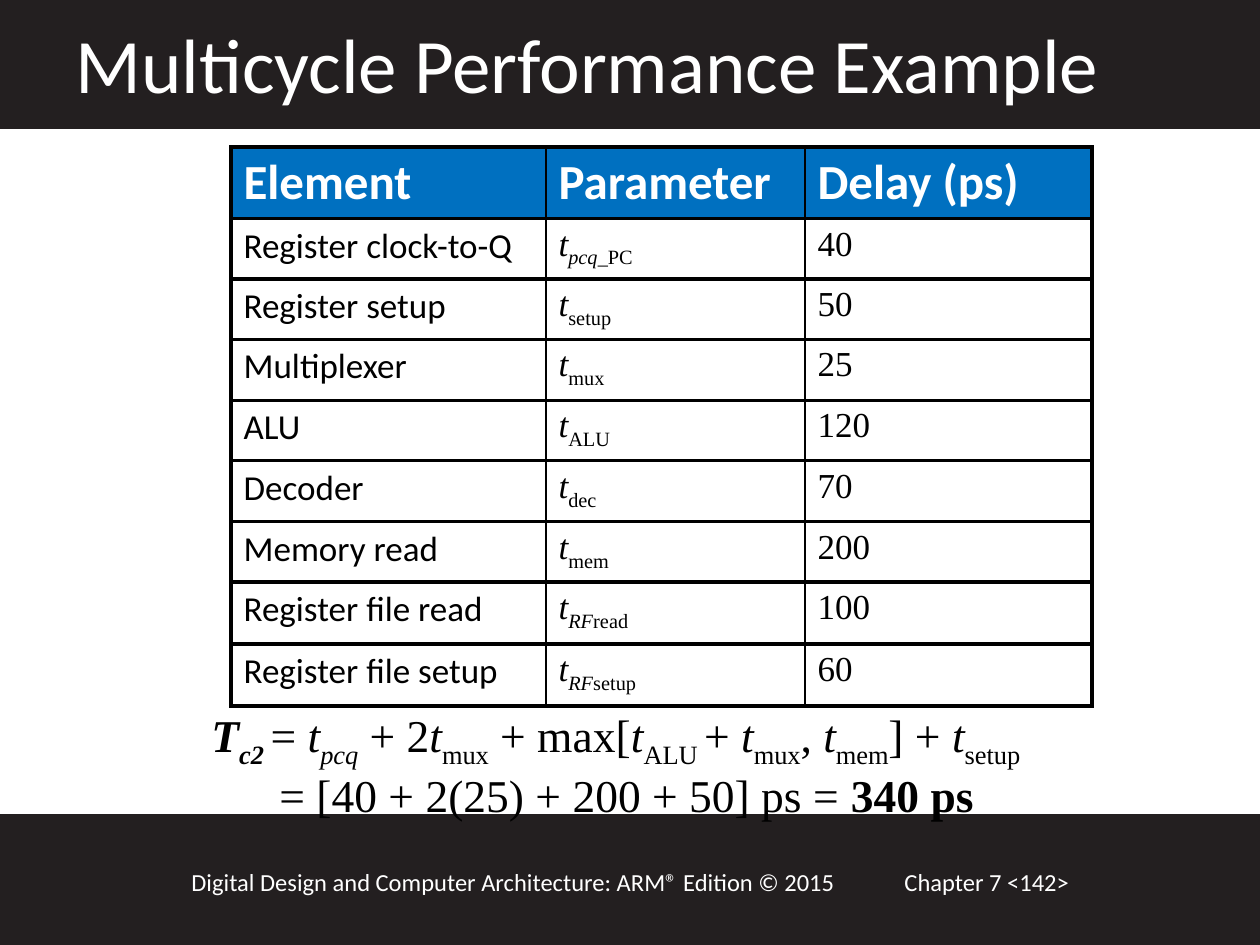
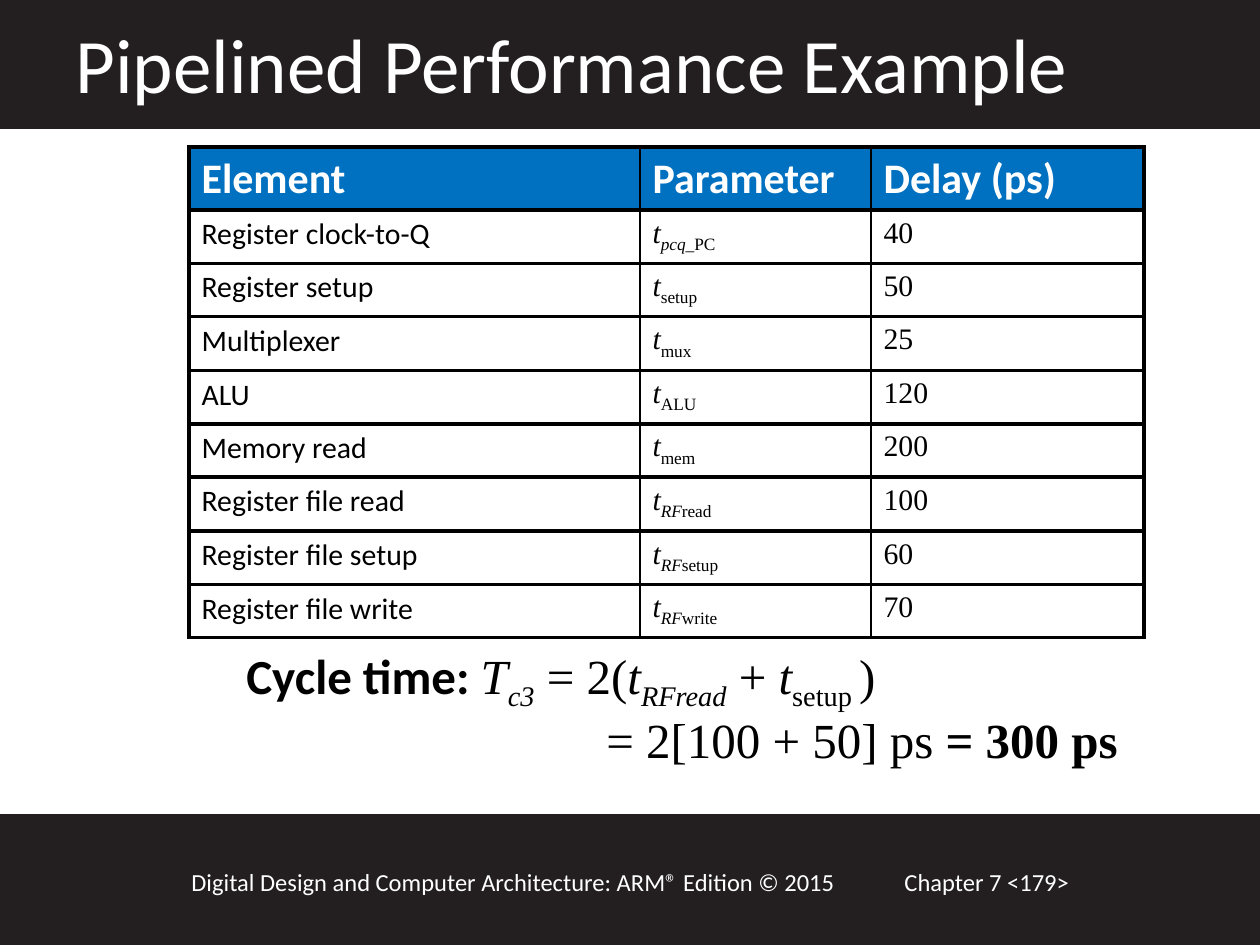
from dataclasses import dataclass
from typing import NamedTuple

from lxml import etree
from pptx import Presentation
from pptx.dml.color import RGBColor
from pptx.enum.shapes import MSO_SHAPE
from pptx.oxml.ns import qn
from pptx.util import Emu, Pt

RECT = MSO_SHAPE.RECTANGLE
SCALE = 914400 / 126
WIDTH, HEIGHT = 1260, 945
SANS, SERIF = "Calibri", "Times New Roman"
HUES = {"band": "231F20", "head": "0070C0", "ink": "000000", "paper": "FFFFFF"}
THICK, THIN = 2.25, 1
BOOK = "Digital Design and Computer Architecture: ARM® Edition © 2015"
HEADS = ("Element", "Parameter", "Delay (ps)")


class Box(NamedTuple):
    left: int
    top: int
    width: int
    height: int


class Bit(NamedTuple):
    text: str
    marks: str = ""
    font: str = SERIF


class Delay(NamedTuple):
    name: str
    symbol: tuple[Bit, ...]
    value: int


class Line(NamedTuple):
    bits: tuple[Bit, ...]
    inset: int = 0


@dataclass
class Grid:
    left: int
    top: int
    cols: tuple[int, ...]
    rows: tuple[int, ...]
    head: int
    body: int
    items: tuple[Delay, ...]


@dataclass
class Page:
    title: str
    number: int
    grid: Grid
    box: Box
    size: int
    lines: tuple[Line, ...]


BANDS = (Box(0, 816, WIDTH, 127), Box(0, 0, WIDTH, 127))
TITLE = Box(63, 10, 1092, 106)
CHAPTER = Box(892, 861, 273, 43)
FOOTER = Box(179, 861, 725, 43)


def term(sub: str, lead: str = "") -> tuple[Bit, ...]:
    start = (Bit("t", "i"),)
    if lead:
        start += (Bit(lead, "is"),)
    return start + ((Bit(sub, "s"),) if sub else ())


CLOCK = Delay("Register clock-to-Q", term("_PC", "pcq"), 40)
SETUP = Delay("Register setup", term("setup"), 50)
MUX = Delay("Multiplexer", term("mux"), 25)
ALU = Delay("ALU", term("ALU"), 120)
DECODE = Delay("Decoder", term("dec"), 70)
MEMORY = Delay("Memory read", term("mem"), 200)
READ = Delay("Register file read", term("read", "RF"), 100)
STORE = Delay("Register file setup", term("setup", "RF"), 60)
WRITE = Delay("Register file write", term("write", "RF"), 70)

PAGES = (
    Page(
        "Multicycle Performance Example", 142,
        Grid(231, 147, (315, 259, 287), (71, 60, 60, 61, 60, 61, 60, 62, 62), 28, 20,
             (CLOCK, SETUP, MUX, ALU, DECODE, MEMORY, READ, STORE)),
        Box(199, 702, 955, 138), 26,
        (
            Line((Bit("T", "bi"), Bit("c2 ", "bis"), Bit("= "), *term("", "pcq"),
                  Bit(" + 2"), *term("mux"), Bit(" + max["), *term("ALU "),
                  Bit("+ "), *term("mux"), Bit(", "), *term("mem"),
                  Bit("] + "), *term("setup"))),
            Line((Bit("= [40 + 2(25) + 200 + 50] ps = "), Bit("340 ps", "b")), 68),
        ),
    ),
    Page(
        "Pipelined Performance Example", 179,
        Grid(189, 147, (451, 231, 273), (63, 53, 53, 54, 53, 53, 54, 53, 53), 24, 17,
             (CLOCK, SETUP, MUX, ALU, MEMORY, READ, STORE, WRITE)),
        Box(234, 640, 921, 137), 28,
        (
            Line((Bit("Cycle time: ", "b", SANS), Bit("T", "i"), Bit("c3", "is"),
                  Bit(" = 2("), *term("", "RFread"), Bit(" + "), *term("setup "),
                  Bit(")"))),
            Line((Bit("= 2[100 + 50] ps "), Bit("= 300 ps", "b")), 360),
        ),
    ),
)


def px(length: int) -> Emu:
    return Emu(round(length * SCALE))


def place(box: Box) -> list[Emu]:
    return [px(side) for side in box]


def tint(name: str) -> RGBColor:
    return RGBColor.from_string(HUES[name])


def write(para, bits: tuple[Bit, ...], size: int, hue: str) -> None:
    for bit in bits:
        run = para.add_run()
        run.text = bit.text
        run.font.name = bit.font
        run.font.size = Pt(size)
        run.font.bold = "b" in bit.marks
        run.font.italic = "i" in bit.marks
        run.font.color.rgb = tint(hue)
        if "s" in bit.marks:
            run.font._element.set("baseline", "-25000")


def band(slide, box: Box) -> None:
    shape = slide.shapes.add_shape(RECT, *place(box))
    shape.shadow.inherit = False
    shape.fill.solid()
    shape.fill.fore_color.rgb = tint("band")
    shape.line.color.rgb = tint("band")
    shape.line.width = Pt(2)


def frame(slide, box: Box):
    text = slide.shapes.add_textbox(*place(box)).text_frame
    text.word_wrap = True
    return text


def label(slide, box: Box, text: str, size: int) -> None:
    write(frame(slide, box).paragraphs[0], (Bit(text, "", SANS),), size, "paper")


def edge(cell, side: str, width: float) -> None:
    line = etree.SubElement(cell._tc.get_or_add_tcPr(), qn(f"a:ln{side}"), w=str(Pt(width)))
    fill = etree.SubElement(line, qn("a:solidFill"))
    etree.SubElement(fill, qn("a:srgbClr"), val=HUES["ink"])


def table(slide, grid: Grid) -> None:
    box = Box(grid.left, grid.top, sum(grid.cols), sum(grid.rows))
    chart = slide.shapes.add_table(len(grid.rows), len(grid.cols), *place(box)).table
    for col, width in zip(chart.columns, grid.cols):
        col.width = px(width)
    for row, height in zip(chart.rows, grid.rows):
        row.height = px(height)
    cells = [[(Bit(head, "b", SANS),) for head in HEADS]]
    for item in grid.items:
        cells.append([(Bit(item.name, "", SANS),), item.symbol, (Bit(str(item.value)),)])
    last = len(grid.cols) - 1
    for r, row in enumerate(cells):
        size, hue, back = (grid.body, "ink", "paper") if r else (grid.head, "paper", "head")
        for c, bits in enumerate(row):
            cell = chart.cell(r, c)
            edge(cell, "L", THIN if c else THICK)
            edge(cell, "R", THICK if c == last else THIN)
            edge(cell, "T", THICK)
            edge(cell, "B", THICK)
            cell.fill.solid()
            cell.fill.fore_color.rgb = tint(back)
            write(cell.text_frame.paragraphs[0], bits, size, hue)


def sums(slide, page: Page) -> None:
    text = frame(slide, page.box)
    for i, line in enumerate(page.lines):
        para = text.add_paragraph() if i else text.paragraphs[0]
        para.line_spacing = 0.9
        if i:
            para.space_before = Pt(page.size * 0.2)
            para._p.get_or_add_pPr().set("marL", str(px(line.inset)))
        write(para, line.bits, page.size, "ink")


def build(deck, page: Page) -> None:
    slide = deck.slides.add_slide(deck.slide_layouts[6])
    for box in BANDS:
        band(slide, box)
    label(slide, CHAPTER, f"Chapter 7 <{page.number}>", 14)
    label(slide, FOOTER, BOOK, 14)
    label(slide, TITLE, page.title, 44)
    table(slide, page.grid)
    sums(slide, page)


def main() -> None:
    deck = Presentation()
    deck.slide_width, deck.slide_height = px(WIDTH), px(HEIGHT)
    for page in PAGES:
        build(deck, page)
    deck.save("out.pptx")


if __name__ == "__main__":
    main()
